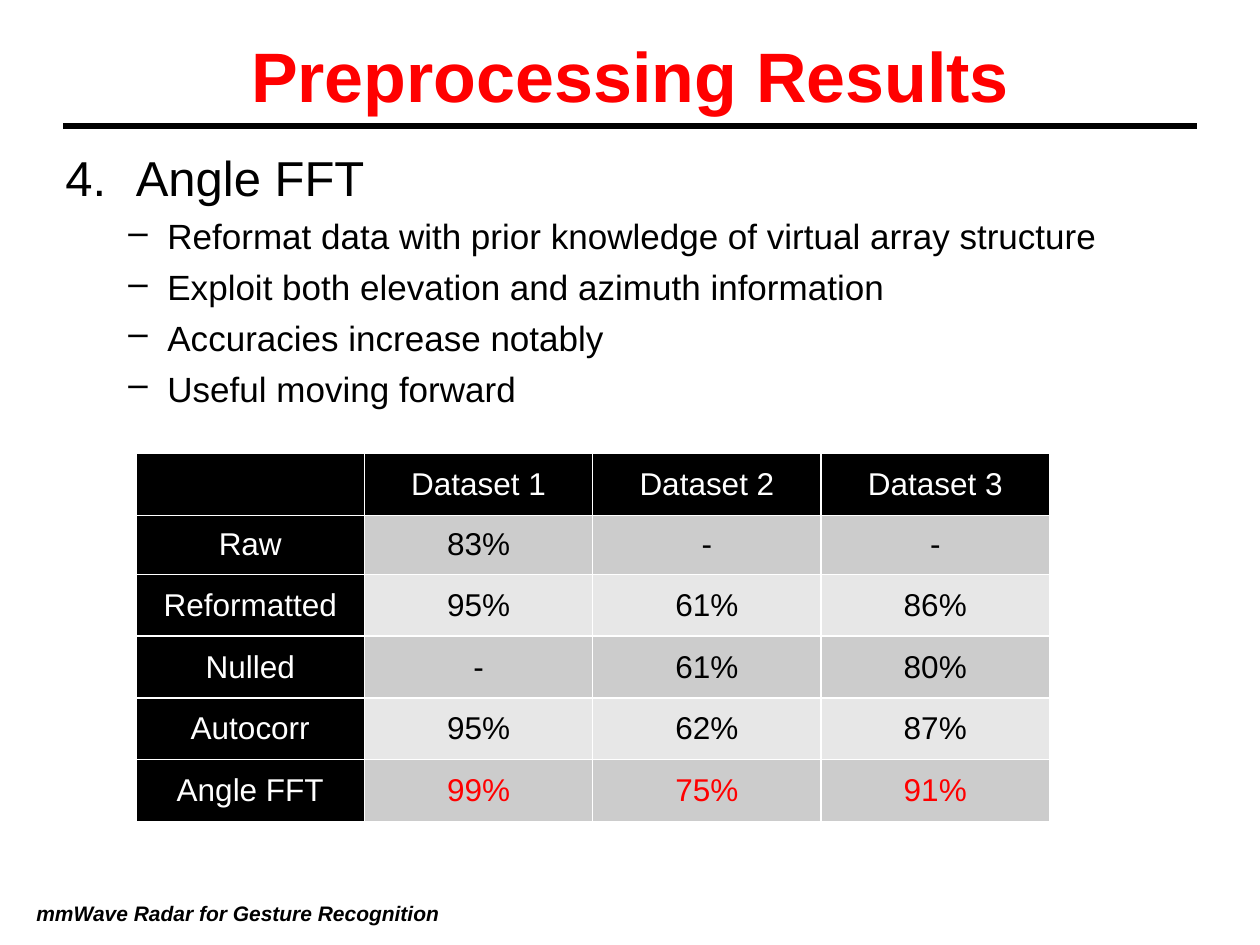
from dataclasses import dataclass

from lxml import etree
from pptx import Presentation
from pptx.dml.color import RGBColor as RGB
from pptx.enum.shapes import MSO_CONNECTOR as CONNECTOR
from pptx.enum.text import MSO_ANCHOR as ANCHOR, PP_ALIGN as ALIGN
from pptx.oxml import parse_xml
from pptx.oxml.ns import nsdecls, qn
from pptx.util import Inches, Pt


@dataclass(frozen=True)
class Theme:
    font: str = "Arial"
    black: RGB = RGB(0, 0, 0)
    white: RGB = RGB(255, 255, 255)
    red: RGB = RGB(255, 0, 0)
    bands: tuple = (RGB(0xCC, 0xCC, 0xCC), RGB(0xE7, 0xE7, 0xE7))
    title: int = 40
    heading: int = 28
    body: int = 20
    cell: int = 18
    footer: int = 12


THEME = Theme()
POINTS = [
    "Reformat data with prior knowledge of virtual array structure",
    "Exploit both elevation and azimuth information",
    "Accuracies increase notably",
    "Useful moving forward",
]
ACCURACIES = [
    ["", "Dataset 1", "Dataset 2", "Dataset 3"],
    ["Raw", "83%", "-", "-"],
    ["Reformatted", "95%", "61%", "86%"],
    ["Nulled", "-", "61%", "80%"],
    ["Autocorr", "95%", "62%", "87%"],
    ["Angle FFT", "99%", "75%", "91%"],
]
ROW_HEIGHTS = [0.49, 0.47, 0.49, 0.49, 0.49, 0.49]


def style(p, size, color, bold=False, italic=False):
    for r in p.runs:
        font = r.font
        font.name, font.size, font.color.rgb = THEME.font, Pt(size), color
        font.bold, font.italic = bold, italic


def add_text(s, box, text, anchor=ANCHOR.MIDDLE):
    tf = s.shapes.add_textbox(*map(Inches, box)).text_frame
    tf.word_wrap = True
    tf.vertical_anchor = anchor
    tf.text = text
    return tf


def add_title(s, box, text):
    p = add_text(s, box, text).paragraphs[0]
    p.alignment = ALIGN.CENTER
    style(p, THEME.title, THEME.red, bold=True)


def add_rule(s, left, right, y):
    rule = s.shapes.add_connector(
        CONNECTOR.STRAIGHT, Inches(left), Inches(y), Inches(right), Inches(y))
    rule.line.color.rgb = THEME.black
    rule.line.width = Pt(4)
    etree.SubElement(rule.element.spPr, qn("a:effectLst"))


def set_bullet(p, margin, hang, tag, **attributes):
    pPr = p._p.get_or_add_pPr()
    pPr.set("marL", str(Inches(margin)))
    pPr.set("indent", str(-Inches(hang)))
    etree.SubElement(pPr, qn(tag), attributes)


def add_outline(s, box, heading, points):
    """One numbered heading with dashed points below it."""
    tf = add_text(s, box, heading, ANCHOR.TOP)
    tf.margin_top = Inches(0.09)
    p = tf.paragraphs[0]
    set_bullet(p, 0.56, 0.56, "a:buAutoNum", type="arabicPeriod", startAt="4")
    style(p, THEME.heading, THEME.black)
    for point in points:
        p = tf.add_paragraph()
        p.text = point
        p.level = 1
        p.space_before = Pt(5)
        set_bullet(p, 0.81, 0.31, "a:buChar", char="–")
        style(p, THEME.body, THEME.black)


def set_borders(cell, color, width):
    tcPr = cell._tc.get_or_add_tcPr()
    for i, side in enumerate("LRTB"):
        tcPr.insert(i, parse_xml(
            f'<a:ln{side} {nsdecls("a")} w="{Pt(width)}"><a:solidFill>'
            f'<a:srgbClr val="{color}"/></a:solidFill></a:ln{side}>'))


def add_accuracy_table(s, box, rows, heights):
    """Black header row and column, grey bands, last row of values in red."""
    table = s.shapes.add_table(len(rows), len(rows[0]), *map(Inches, box)).table
    for column in table.columns:
        column.width = Inches(box[2] / len(rows[0]))
    for i, (values, height) in enumerate(zip(rows, heights)):
        table.rows[i].height = Inches(height)
        for j, value in enumerate(values):
            cell = table.cell(i, j)
            if i == 0 or j == 0:
                fill, color = THEME.black, THEME.white
            else:
                fill = THEME.bands[(i - 1) % 2]
                color = THEME.red if i == len(rows) - 1 else THEME.black
            cell.fill.solid()
            cell.fill.fore_color.rgb = fill
            set_borders(cell, THEME.white, 1)
            cell.vertical_anchor = ANCHOR.MIDDLE
            cell.text = value
            p = cell.text_frame.paragraphs[0]
            p.alignment = ALIGN.CENTER
            style(p, THEME.cell, color)


def add_footer(s, box, text):
    p = add_text(s, box, text).paragraphs[0]
    style(p, THEME.footer, THEME.black, bold=True, italic=True)


def main():
    prs = Presentation()
    prs.slide_width, prs.slide_height = Inches(10), Inches(7.5)
    s = prs.slides.add_slide(prs.slide_layouts[6])
    add_rule(s, 0.5, 9.5, 1)
    add_title(s, (0, -0.03, 10, 1.25), "Preprocessing Results")
    add_footer(s, (0.19, 7.05, 4.83, 0.4), "mmWave Radar for Gesture Recognition")
    add_outline(s, (0.42, 1.08, 9.08, 4.33), "Angle FFT", POINTS)
    add_accuracy_table(s, (1.08, 3.6, 7.25, 2.92), ACCURACIES, ROW_HEIGHTS)
    prs.save("out.pptx")


if __name__ == "__main__":
    main()
